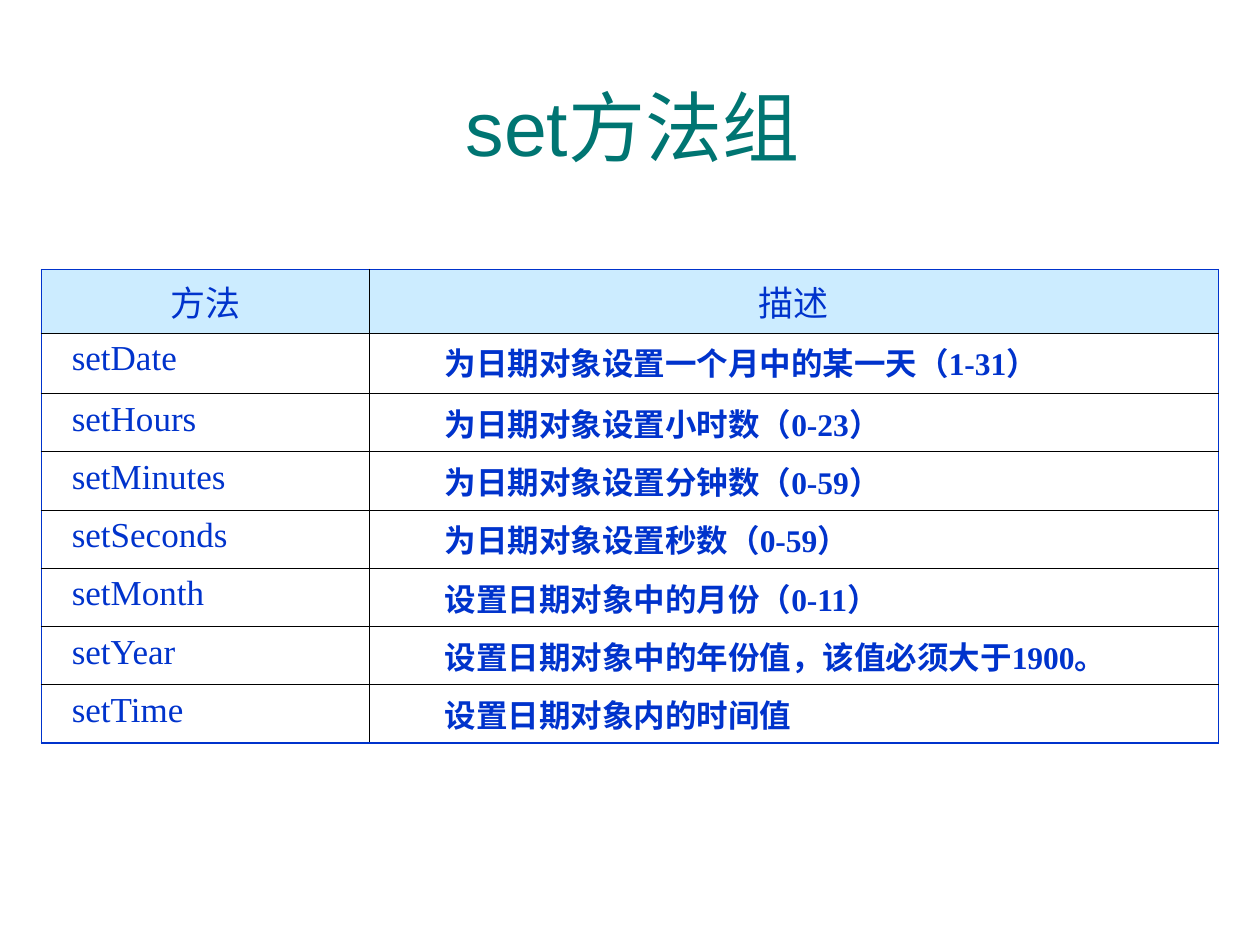
from lxml import etree
from pptx import Presentation
from pptx.dml.color import RGBColor
from pptx.enum.text import MSO_ANCHOR, PP_ALIGN
from pptx.oxml.ns import qn
from pptx.util import Inches, Pt

MIDDLE, TOP = MSO_ANCHOR.MIDDLE, MSO_ANCHOR.TOP
CENTER, LEFT = PP_ALIGN.CENTER, PP_ALIGN.LEFT
BLUE, BLACK, PALE, TEAL = "0033CC", "000000", "CCECFF", "007572"
COLS = (2.6, 6.74)
ROWS = (0.43, 0.48, 0.44, 0.44, 0.43, 0.43, 0.44, 0.44)
METHODS = (
    ("方法", "描述"),
    ("setDate", "为日期对象设置一个月中的某一天（1-31）"),
    ("setHours", "为日期对象设置小时数（0-23）"),
    ("setMinutes", "为日期对象设置分钟数（0-59）"),
    ("setSeconds", "为日期对象设置秒数（0-59）"),
    ("setMonth", "设置日期对象中的月份（0-11）"),
    ("setYear", "设置日期对象中的年份值，该值必须大于1900。"),
    ("setTime", "设置日期对象内的时间值"),
)


def rgb(color):
    """Turn a hex string into a colour."""
    return RGBColor.from_string(color)


def style(para, face, size, color, align, bold=False):
    """Set the font and alignment of a paragraph."""
    para.alignment = align
    font = para.font
    font.name, font.size, font.bold = face, Pt(size), bold
    font.color.rgb = rgb(color)


def indent(para, left):
    """Indent a paragraph from the left."""
    props = para._p.get_or_add_pPr()
    props.set("marL", str(Inches(left)))
    props.set("indent", "0")


def border(cell, outer):
    """Draw the four cell edges, blue where a side is on the outside."""
    props = cell._tc.get_or_add_tcPr()
    for side in "LRTB":
        color, width = (BLUE, 1.08) if side in outer else (BLACK, 0.45)
        line = etree.SubElement(props, qn(f"a:ln{side}"), w=str(Pt(width)))
        fill = etree.SubElement(line, qn("a:solidFill"))
        etree.SubElement(fill, qn("a:srgbClr"), val=color)


def add_title(slide, text, left, top, width, height):
    """Place and format the slide title."""
    title = slide.shapes.title
    title.left, title.top = Inches(left), Inches(top)
    title.width, title.height = Inches(width), Inches(height)
    frame = title.text_frame
    frame.text = text
    frame.vertical_anchor = MIDDLE
    style(frame.paragraphs[0], "Arial", 44, TEAL, CENTER)


def fill_cell(cell, text, row, col):
    """Write and format one cell by its place in the table."""
    head = row == 0
    outer = "LR"[col] + "T" * head + "B" * (row == len(ROWS) - 1)
    border(cell, outer)
    if head:
        cell.fill.solid()
        cell.fill.fore_color.rgb = rgb(PALE)
    else:
        cell.fill.background()
    cell.text = text
    cell.vertical_anchor = MIDDLE if head else TOP
    para = cell.text_frame.paragraphs[0]
    note = col == 1 and not head
    if not head:
        para.level = col
        indent(para, (0.14, 0.5)[col])
    style(para, "Times New Roman", 18 if note else 20, BLUE,
          CENTER if head else LEFT, note)


def add_methods(slide, left, top, width, height):
    """Place the table of methods and their descriptions."""
    table = slide.shapes.add_table(
        len(ROWS), len(COLS), Inches(left), Inches(top),
        Inches(width), Inches(height)).table
    table.first_row = table.horz_banding = False
    for column, size in zip(table.columns, COLS):
        column.width = Inches(size)
    for row, size in zip(table.rows, ROWS):
        row.height = Inches(size)
    for row, texts in enumerate(METHODS):
        for col, text in enumerate(texts):
            fill_cell(table.cell(row, col), text, row, col)


def main():
    """Build and save the slide."""
    deck = Presentation()
    deck.slide_width, deck.slide_height = Inches(10), Inches(7.5)
    slide = deck.slides.add_slide(deck.slide_layouts[5])
    add_title(slide, "set方法组", 0.35, 0.37, 9.34, 1.25)
    add_methods(slide, 0.33, 2.14, sum(COLS), sum(ROWS))
    deck.save("out.pptx")


if __name__ == "__main__":
    main()
